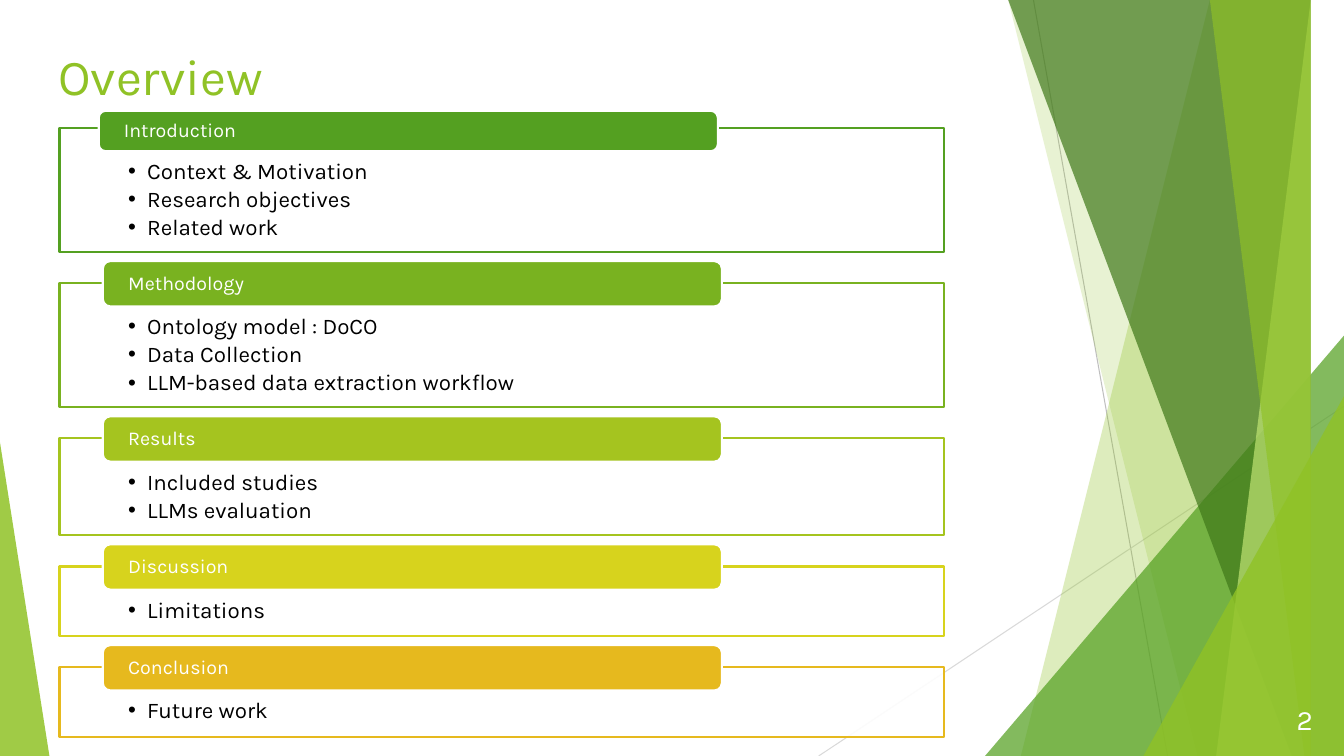
import dataclasses

import lxml.etree
import pptx
import pptx.dml.color
import pptx.enum.shapes
import pptx.enum.text
import pptx.oxml.ns
import pptx.util

Inches = pptx.util.Inches
Pt = pptx.util.Pt
qn = pptx.oxml.ns.qn
Shape = pptx.enum.shapes.MSO_SHAPE
Align = pptx.enum.text.PP_ALIGN
Anchor = pptx.enum.text.MSO_ANCHOR


@dataclasses.dataclass(frozen=True)
class Theme:
    """Fonts, type sizes, line widths and colours."""

    font: str = "Karla"
    title_size: int = 36
    number_size: int = 20
    item_size: int = 16
    heading_size: int = 14
    line_width: float = 1.5
    hairline_width: float = 0.75
    white: str = "FFFFFF"
    black: str = "000000"
    lime: str = "90C226"
    green: str = "54A021"
    forest: str = "3F7819"
    pale: str = "C0E474"
    grey: str = "BFBFBF"
    light_grey: str = "D9D9D9"
    sections: tuple = ("54A021", "79B220", "A5C41F", "D7D31D", "E6B91E")


class SlideBuilder:
    """Draws styled elements on one slide."""

    def __init__(self, slide, theme):
        self.shapes = slide.shapes
        self.theme = theme

    def paint(self, shape, fill, opacity=100, line=None):
        shape.shadow.inherit = False
        shape.fill.solid()
        shape.fill.fore_color.rgb = pptx.dml.color.RGBColor.from_string(fill)
        if opacity < 100:
            color = shape._element.spPr.find(qn("a:solidFill"))[0]
            lxml.etree.SubElement(color, qn("a:alpha"), val=str(opacity * 1000))
        if line:
            shape.line.color.rgb = pptx.dml.color.RGBColor.from_string(line)
            shape.line.width = Pt(self.theme.line_width)
        else:
            shape.line.fill.background()

    def set_text(self, shape, text, size, color, anchor, margins=(0.1, 0.05, 0.1, 0.05),
                 align=Align.LEFT, line_spacing=None):
        frame = shape.text_frame
        frame.word_wrap = True
        frame.vertical_anchor = anchor
        (frame.margin_left, frame.margin_top,
         frame.margin_right, frame.margin_bottom) = map(Inches, margins)
        frame.text = text
        for paragraph in frame.paragraphs:
            paragraph.alignment = align
            paragraph.line_spacing = line_spacing
            for run in paragraph.runs:
                run.font.name = self.theme.font
                run.font.size = Pt(size)
                run.font.color.rgb = pptx.dml.color.RGBColor.from_string(color)
        return frame

    def line(self, start, end, color):
        connector = self.shapes.add_connector(
            pptx.enum.shapes.MSO_CONNECTOR.STRAIGHT, *map(Inches, start + end))
        connector.line.color.rgb = pptx.dml.color.RGBColor.from_string(color)
        connector.line.width = Pt(self.theme.hairline_width)
        lxml.etree.SubElement(connector._element.spPr, qn("a:effectLst"))

    def shard(self, points, color, opacity):
        builder = self.shapes.build_freeform(*points[0], scale=Inches(1))
        builder.add_line_segments(points[1:], close=True)
        self.paint(builder.convert_to_shape(), color, opacity)

    def triangle(self, box, apex, color, opacity):
        triangle = self.shapes.add_shape(Shape.ISOSCELES_TRIANGLE, *map(Inches, box))
        triangle.adjustments[0] = apex
        self.paint(triangle, color, opacity)

    def label(self, box, text, size, color, align=Align.LEFT):
        label = self.shapes.add_textbox(*map(Inches, box))
        self.set_text(label, text, size, color, Anchor.MIDDLE, align=align)

    def items(self, box, lines, color):
        panel = self.shapes.add_shape(Shape.RECTANGLE, *map(Inches, box))
        self.paint(panel, self.theme.white, 90, color)
        frame = self.set_text(panel, "\n".join(lines), self.theme.item_size, self.theme.black,
                              Anchor.TOP, (0.68, 0.32, 0.68, 0.12), line_spacing=0.9)
        for paragraph in frame.paragraphs:
            paragraph.space_after = Pt(2.8)
            properties = paragraph._p.get_or_add_pPr()
            properties.set("marL", str(Inches(0.19)))
            properties.set("indent", str(Inches(-0.19)))
            lxml.etree.SubElement(properties, qn("a:buFont"), typeface="Arial")
            lxml.etree.SubElement(properties, qn("a:buChar"), char="•")

    def heading(self, box, text, color):
        tab = self.shapes.add_shape(Shape.ROUNDED_RECTANGLE, *map(Inches, box))
        self.paint(tab, color, line=self.theme.white)
        self.set_text(tab, text, self.theme.heading_size, self.theme.white, Anchor.MIDDLE,
                      (0.23, 0, 0.23, 0), line_spacing=0.9)


WIDTH, HEIGHT = 13.33, 7.5

SECTIONS = [
    ("Introduction", ["Context & Motivation", "Research objectives", "Related work"]),
    ("Methodology", ["Ontology model : DoCO", "Data Collection",
                     "LLM-based data extraction workflow"]),
    ("Results", ["Included studies", "LLMs evaluation"]),
    ("Discussion", ["Limitations"]),
    ("Conclusion", ["Future work"]),
]


def draw_backdrop(builder, theme):
    def edge_shard(top_x, bottom_x, color, opacity):
        builder.shard([(top_x, 0), (WIDTH, 0), (WIDTH, HEIGHT), (bottom_x, HEIGHT)],
                      color, opacity)

    def corner_triangle(left, top, color, opacity):
        builder.triangle((left, top, WIDTH - left, HEIGHT - top), 1, color, opacity)

    builder.line((10.25, 0), (11.58, HEIGHT), theme.grey)
    builder.line((WIDTH, 4.03), (8.12, HEIGHT), theme.light_grey)
    edge_shard(12.28, 10.04, theme.lime, 30)
    edge_shard(10.5, 11.83, theme.lime, 20)
    corner_triangle(9.77, 3.33, theme.green, 72)
    edge_shard(10.21, 12.91, theme.forest, 70)
    edge_shard(13.03, 11.92, theme.pale, 70)
    edge_shard(11.96, 13.18, theme.lime, 65)
    corner_triangle(11.34, 3.93, theme.lime, 80)
    builder.triangle((0, 4.39, 0.49, 3.11), 0, theme.lime, 85)


def draw_sections(builder, theme):
    top = 1.27
    for index, (name, lines) in enumerate(SECTIONS):
        color = theme.sections[index]
        panel_height = 0.42 + 0.27 * len(lines)
        tab_left, tab_height = (1.02, 0.45) if index else (0.98, 0.4)
        builder.items((0.59, top, 8.77, panel_height), lines, color)
        builder.heading((tab_left, top + 0.23 - tab_height, 6.14, tab_height), name, color)
        top += panel_height + 0.31


def main():
    theme = Theme()
    deck = pptx.Presentation()
    deck.slide_width, deck.slide_height = Inches(WIDTH), Inches(HEIGHT)
    builder = SlideBuilder(deck.slides.add_slide(deck.slide_layouts[6]), theme)
    draw_backdrop(builder, theme)
    builder.label((0.48, 0.35, 9.4, 0.8), "Overview", theme.title_size, theme.lime)
    builder.label((12.37, 6.94, 0.75, 0.4), "2", theme.number_size, theme.white, Align.RIGHT)
    draw_sections(builder, theme)
    deck.save("out.pptx")


if __name__ == "__main__":
    main()
